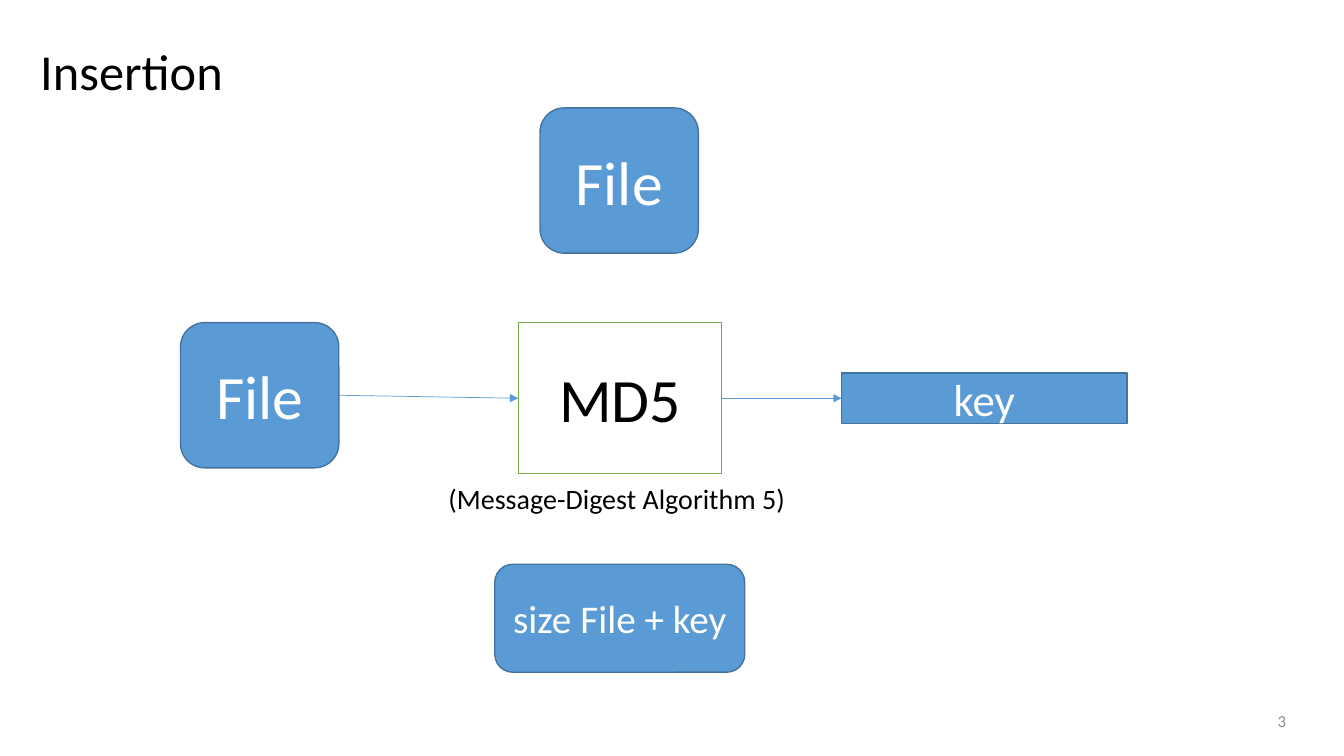
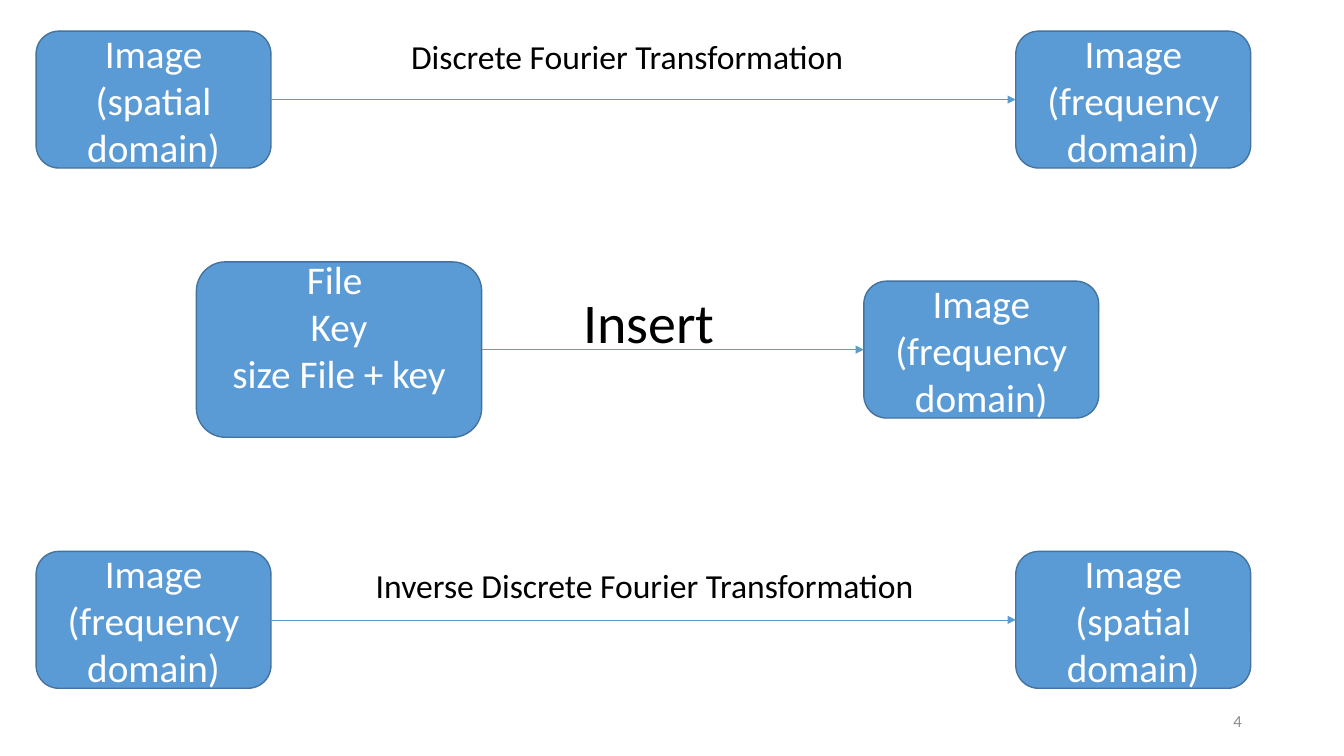
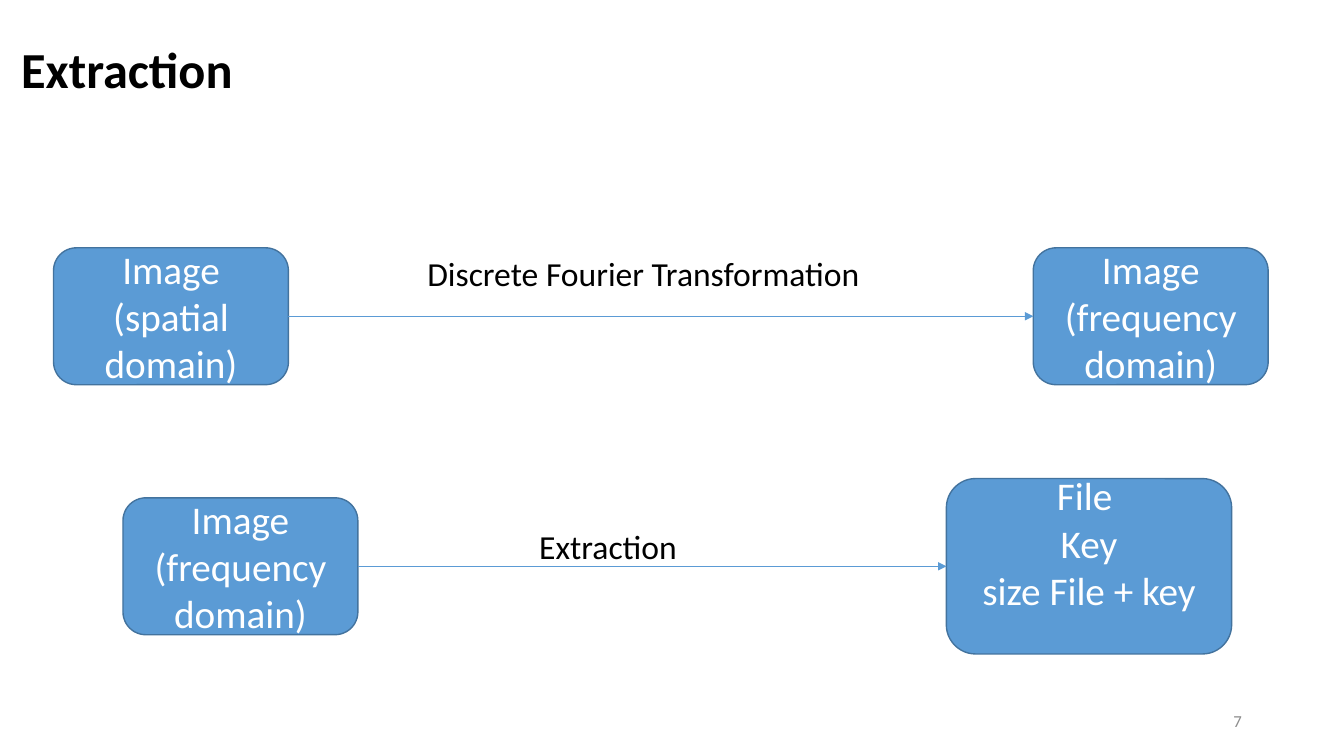
from dataclasses import dataclass, field
from typing import Any

from lxml.etree import SubElement
from pptx import Presentation
from pptx.dml.color import RGBColor
from pptx.enum.shapes import MSO_CONNECTOR as Connector, MSO_SHAPE as Preset
from pptx.enum.text import MSO_ANCHOR as Anchor, MSO_AUTO_SIZE as AutoSize, PP_ALIGN as Align
from pptx.oxml.ns import qn
from pptx.util import Cm, Pt

# Colours and fonts
BLUE = RGBColor(0x5B, 0x9B, 0xD5)
DARK_BLUE = RGBColor(0x43, 0x73, 0x9E)
GREEN = RGBColor(0x70, 0xAD, 0x47)
GREY = RGBColor(0x8C, 0x8C, 0x8C)
BLACK = RGBColor(0, 0, 0)
WHITE = RGBColor(0xFF, 0xFF, 0xFF)
FONT = "Calibri"

# Layouts of the default template
TITLE_ONLY, BLANK = 5, 6


@dataclass(frozen=True)
class Area:
    left: float
    top: float
    width: float
    height: float

    def lengths(self) -> tuple[Cm, ...]:
        return tuple(Cm(value) for value in (self.left, self.top, self.width, self.height))


@dataclass(frozen=True)
class Node:
    lines: tuple[str, ...]
    width: float
    height: float
    size: int = 28
    preset: Any = Preset.ROUNDED_RECTANGLE
    fill: RGBColor = BLUE
    edge: RGBColor = DARK_BLUE
    ink: RGBColor = WHITE
    bottom_inset: float = 0.13


@dataclass(frozen=True)
class Label:
    text: str
    area: Area
    size: int = 24


@dataclass(frozen=True)
class Step:
    """Two nodes centred on one axis, joined by a labelled arrow."""
    axis: float
    source: Node
    source_left: float
    target: Node
    target_left: float
    label: Label


@dataclass(frozen=True)
class Title:
    text: str
    left: float
    top: float
    format: dict[str, Any] = field(default_factory=dict)


# Nodes that appear in the diagrams
FILE = Node(("File",), 3.99, 3.66, size=44)
MD5 = Node(("MD5",), 5.13, 3.81, size=44, preset=Preset.RECTANGLE,
           fill=WHITE, edge=GREEN, ink=BLACK)
KEY = Node(("key",), 7.19, 1.27, size=32, preset=Preset.RECTANGLE)
SIZE = Node(("size File + key",), 6.3, 2.72)
SPATIAL = Node(("Image", "(spatial domain)"), 5.92, 3.45)
FREQUENCY = Node(("Image", "(frequency domain)"), 5.92, 3.45)
PAYLOAD = Node(("File ", "Key", "size File + key"), 7.19, 4.42, bottom_inset=1.33)


def write(shape: Any, lines: tuple[str, ...], align: Any, frame_format: dict[str, Any],
          font_format: dict[str, Any], ink: RGBColor = BLACK) -> None:
    frame = shape.text_frame
    for name, value in {"word_wrap": True, **frame_format}.items():
        setattr(frame, name, value)
    for index, line in enumerate(lines):
        para = frame.add_paragraph() if index else frame.paragraphs[0]
        para.alignment = align
        span = para.add_run()
        span.text = line
        for name, value in {"name": FONT, **font_format}.items():
            setattr(span.font, name, value)
        span.font.color.rgb = ink


def add_node(page: Any, node: Node, left: float, top: float) -> Any:
    area = Area(left, top, node.width, node.height)
    box = page.shapes.add_shape(node.preset, *area.lengths())
    box.shadow.inherit = False
    box.fill.solid()
    box.fill.fore_color.rgb = node.fill
    box.line.color.rgb = node.edge
    box.line.width = Pt(1)
    write(box, node.lines, Align.CENTER,
          {"vertical_anchor": Anchor.MIDDLE, "margin_bottom": Cm(node.bottom_inset)},
          {"size": Pt(node.size)}, node.ink)
    return box


def add_arrow(page: Any, source: Any, target: Any) -> None:
    arrow = page.shapes.add_connector(Connector.STRAIGHT, 0, 0, 0, 0)
    arrow.begin_connect(source, 3)  # right side
    arrow.end_connect(target, 1)  # left side
    arrow.line.color.rgb = BLUE
    arrow.line.width = Pt(0.5)
    SubElement(arrow.line._get_or_add_ln(), qn("a:tailEnd"), type="triangle")
    SubElement(arrow._element.spPr, qn("a:effectLst"))


def add_label(page: Any, label: Label) -> None:
    box = page.shapes.add_textbox(*label.area.lengths())
    write(box, (label.text,), Align.LEFT, {"auto_size": AutoSize.SHAPE_TO_FIT_TEXT},
          {"size": Pt(label.size)})


def add_step(page: Any, step: Step) -> None:
    source, target = (
        add_node(page, node, left, step.axis - node.height / 2)
        for node, left in ((step.source, step.source_left), (step.target, step.target_left))
    )
    add_arrow(page, source, target)
    add_label(page, step.label)


def add_page(deck: Any, number: int, number_left: float, title: Title | None = None) -> Any:
    page = deck.slides.add_slide(deck.slide_layouts[TITLE_ONLY if title else BLANK])
    if title:
        heading = page.shapes.title
        area = Area(title.left, title.top, 29.21, 3.68).lengths()
        for name, value in zip(("left", "top", "width", "height"), area):
            setattr(heading, name, value)
        write(heading, (title.text,), Align.LEFT,
              {"vertical_anchor": Anchor.MIDDLE, "auto_size": AutoSize.NONE,
               "margin_bottom": Cm(0.81)},
              {"size": Pt(36), **title.format})
        heading.text_frame.paragraphs[0].line_spacing = 0.9
    footer = page.shapes.add_textbox(*Area(number_left, 17.65, 7.62, 1.02).lengths())
    write(footer, (str(number),), Align.RIGHT, {"vertical_anchor": Anchor.MIDDLE},
          {"size": Pt(12)}, GREY)
    return page


def build_key_page(deck: Any) -> None:
    page = add_page(deck, 3, 25.04, Title("Insertion", 0.76, 0.38))
    add_node(page, FILE, 13.61, 2.72)
    file_box = add_node(page, FILE, 4.55, 8.13)
    hash_box = add_node(page, MD5, 13.06, 8.13)
    key_box = add_node(page, KEY, 21.21, 9.4)
    add_arrow(page, file_box, hash_box)
    add_arrow(page, hash_box, key_box)
    add_node(page, SIZE, 12.47, 14.22)
    add_label(page, Label("(Message-Digest Algorithm 5)", Area(11.05, 12.01, 9.17, 1.12), 20))


def build_insertion_page(deck: Any) -> None:
    page = add_page(deck, 4, 23.93)
    steps = (
        Step(2.51, SPATIAL, 0.91, FREQUENCY, 25.6,
             Label("Discrete Fourier Transformation", Area(10.11, 0.79, 13.31, 1.27))),
        Step(8.81, PAYLOAD, 4.95, FREQUENCY, 21.77,
             Label("Insert", Area(14.45, 7.11, 8.13, 1.96), 40)),
        Step(15.62, FREQUENCY, 0.91, SPATIAL, 25.6,
             Label("Inverse Discrete Fourier Transformation", Area(9.22, 14.12, 15.49, 1.27))),
    )
    for step in steps:
        add_step(page, step)


def build_extraction_page(deck: Any) -> None:
    page = add_page(deck, 7, 23.93, Title("Extraction", 0.28, 0.33, {"bold": True}))
    steps = (
        Step(7.97, SPATIAL, 1.35, FREQUENCY, 26.04,
             Label("Discrete Fourier Transformation", Area(10.52, 6.25, 13.31, 1.27))),
        Step(14.27, FREQUENCY, 3.1, PAYLOAD, 23.85,
             Label("Extraction", Area(13.34, 13.13, 11.81, 1.27))),
    )
    for step in steps:
        add_step(page, step)


def main() -> None:
    deck = Presentation()
    deck.slide_width, deck.slide_height = Cm(33.87), Cm(19.05)
    for build in (build_key_page, build_insertion_page, build_extraction_page):
        build(deck)
    deck.save("out.pptx")


if __name__ == "__main__":
    main()
